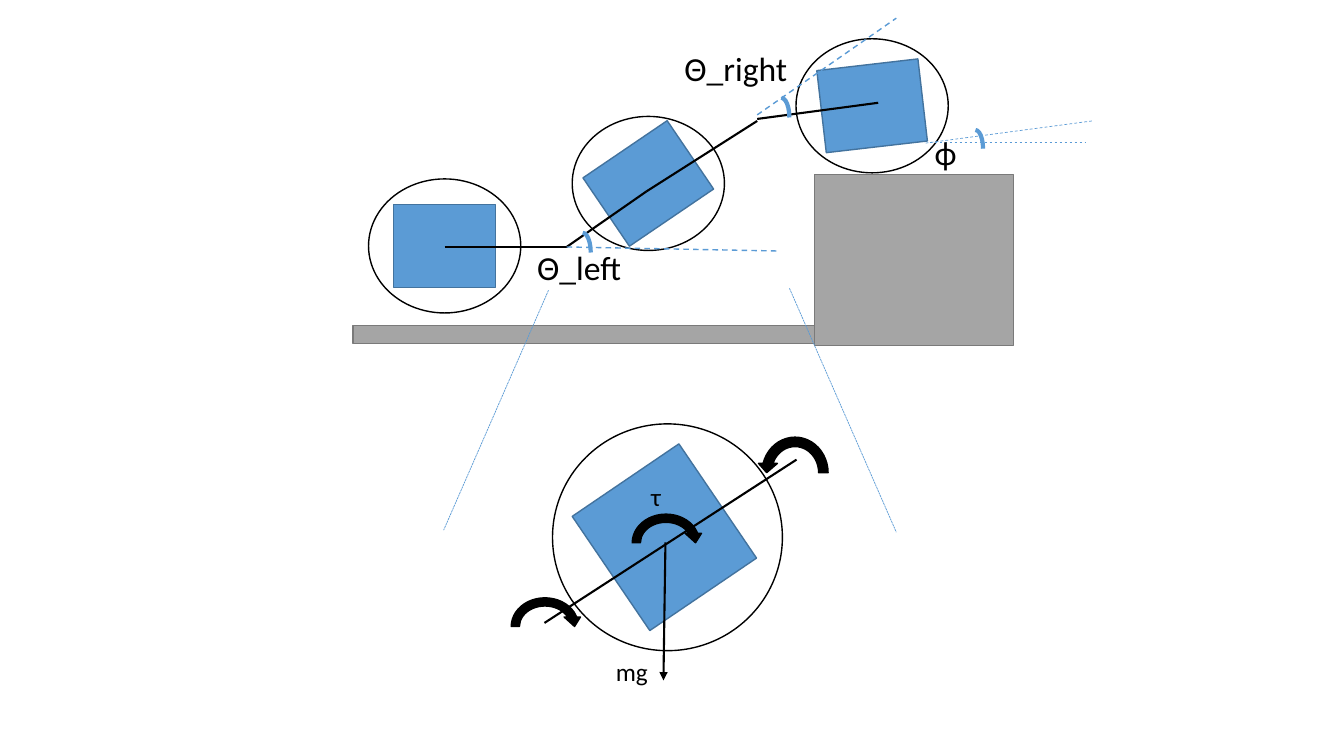
from pptx import Presentation, util as u
from pptx.dml.color import RGBColor
from pptx.enum import dml, shapes, text
from pptx.oxml.ns import qn
from lxml import etree

BLUE = RGBColor(0x5B, 0x9B, 0xD5)
NAVY = RGBColor(0x43, 0x73, 0x9E)
GREY = RGBColor(0xA5, 0xA5, 0xA5)
SLATE = RGBColor(0x7A, 0x7A, 0x7A)
BLACK = RGBColor(0, 0, 0)

KIND = shapes.MSO_SHAPE
DASH = dml.MSO_LINE.DASH
DOT = dml.MSO_LINE.SQUARE_DOT
COLS, ROWS = 13.33, 7.5
TILT = -34.2


class Sketch:
    """Draws on one slide; lengths are columns and rows of the slide grid."""
    font = "Calibri"

    def __init__(self, deck):
        self.slide = deck.slides.add_slide(deck.slide_layouts[6])
        self.col = deck.slide_width / COLS
        self.row = deck.slide_height / ROWS

    def grid(self, *spots):
        """Turn alternating columns and rows into lengths."""
        return [u.Emu(round(n * (self.row if i % 2 else self.col)))
                for i, n in enumerate(spots)]

    def shape(self, kind, x, y, w, h, fill=None, line=BLACK, width=1, turn=0):
        item = self.slide.shapes.add_shape(kind, *self.grid(x, y, w, h))
        item.shadow.inherit = False
        item.rotation = turn
        if fill is None:
            item.fill.background()
        else:
            item.fill.solid()
            item.fill.fore_color.rgb = fill
        item.line.color.rgb = line
        item.line.width = u.Pt(width)
        return item

    def mid(self, kind, x, y, w, h, **style):
        """Place a shape by its centre."""
        return self.shape(kind, x - w / 2, y - h / 2, w, h, **style)

    def line(self, *ends, color=BLACK, width=1.5, dash=None, arrow=False):
        item = self.slide.shapes.add_connector(
            shapes.MSO_CONNECTOR.STRAIGHT, *self.grid(*ends))
        item.line.color.rgb = color
        item.line.width = u.Pt(width)
        if dash:
            item.line.dash_style = dash
        props = item._element.spPr
        if arrow:
            etree.SubElement(props.find(qn("a:ln")), qn("a:tailEnd"),
                             type="triangle")
        etree.SubElement(props, qn("a:effectLst"))

    def text(self, words, x, y, w, h, size=24, wrap=True):
        box = self.slide.shapes.add_textbox(*self.grid(x, y, w, h))
        frame = box.text_frame
        frame.word_wrap = wrap
        frame.auto_size = text.MSO_AUTO_SIZE.SHAPE_TO_FIT_TEXT
        run = frame.paragraphs[0].add_run()
        run.text = words
        run.font.name = self.font
        run.font.size = u.Pt(size)
        run.font.color.rgb = BLACK

    def wheel(self, x, y, turn):
        """Square body inside its round wheel."""
        self.mid(KIND.RECTANGLE, x, y, 1.01, 0.82, fill=BLUE, line=NAVY,
                 turn=turn)
        self.mid(KIND.OVAL, x, y, 1.51, 1.33)

    def torque(self, x, y, h=0.65, back=False):
        item = self.shape(KIND.CIRCULAR_ARROW, x, y, 0.75, h, fill=BLACK,
                          turn=180 if back else 0)
        if back:
            item._element.spPr.find(qn("a:xfrm")).set("flipV", "1")


def climb(art):
    """Three linked wheels going up a step."""
    for x, y, turn in ((4.41, 2.44, 0), (6.43, 1.82, TILT), (8.65, 1.05, -6.6)):
        art.wheel(x, y, turn)
    for box in ((3.5, 3.23, 6.55, 0.18), (8.08, 1.73, 1.97, 1.7)):
        art.shape(KIND.RECTANGLE, *box, fill=GREY, line=SLATE)
    for ends in ((4.41, 2.45, 5.62, 2.45), (5.62, 2.45, 6.41, 1.9),
                 (6.41, 1.9, 7.51, 1.2), (7.51, 1.18, 8.71, 1.02)):
        art.line(*ends)


def angles(art):
    for ends, width in (((7.51, 1.14, 8.89, 0.18), 1),
                        ((5.62, 2.45, 7.7, 2.49), 1),
                        ((9.22, 1.41, 10.76, 1.41), 0.5),
                        ((9.18, 1.42, 10.83, 1.2), 0.5)):
        art.line(*ends, color=BLUE, width=width, dash=DASH)
    for x, y, w, h in ((5.7, 2.31, 0.16, 0.39), (7.67, 0.97, 0.16, 0.39),
                       (9.6, 1.29, 0.15, 0.37)):
        art.shape(KIND.ARC, x, y, w, h, line=BLUE, width=3)
    art.text("Θ_left", 5.23, 2.4, 1.44, 0.5)
    art.text("Θ_right", 6.69, 0.43, 1.44, 0.5)
    art.text("ϕ", 9.17, 1.26, 0.42, 0.5, wrap=False)


def detail(art):
    """Enlarged middle wheel with its forces."""
    art.mid(KIND.RECTANGLE, 6.59, 5.33, 1.28, 1.37, fill=BLUE, line=NAVY,
            turn=TILT)
    art.mid(KIND.OVAL, 6.62, 5.33, 2.28, 2.25)
    for ends in ((7.83, 2.86, 8.89, 5.28), (5.44, 2.88, 4.4, 5.26)):
        art.line(*ends, color=BLUE, width=0.5, dash=DOT)
    art.line(6.6, 5.38, 6.58, 6.75, arrow=True)
    art.text("mg", 6.01, 6.46, 1.89, 0.4, size=18)
    art.torque(6.23, 5.06)
    art.text("τ", 6.36, 4.73, 1.89, 0.4, size=18)
    art.line(7.9, 4.56, 5.4, 6.18)
    art.torque(5.03, 5.89)
    art.torque(7.51, 4.29, h=0.8, back=True)


def main():
    deck = Presentation()
    deck.slide_width, deck.slide_height = u.Inches(COLS), u.Inches(ROWS)
    art = Sketch(deck)
    climb(art)
    angles(art)
    detail(art)
    deck.save("out.pptx")


if __name__ == "__main__":
    main()
